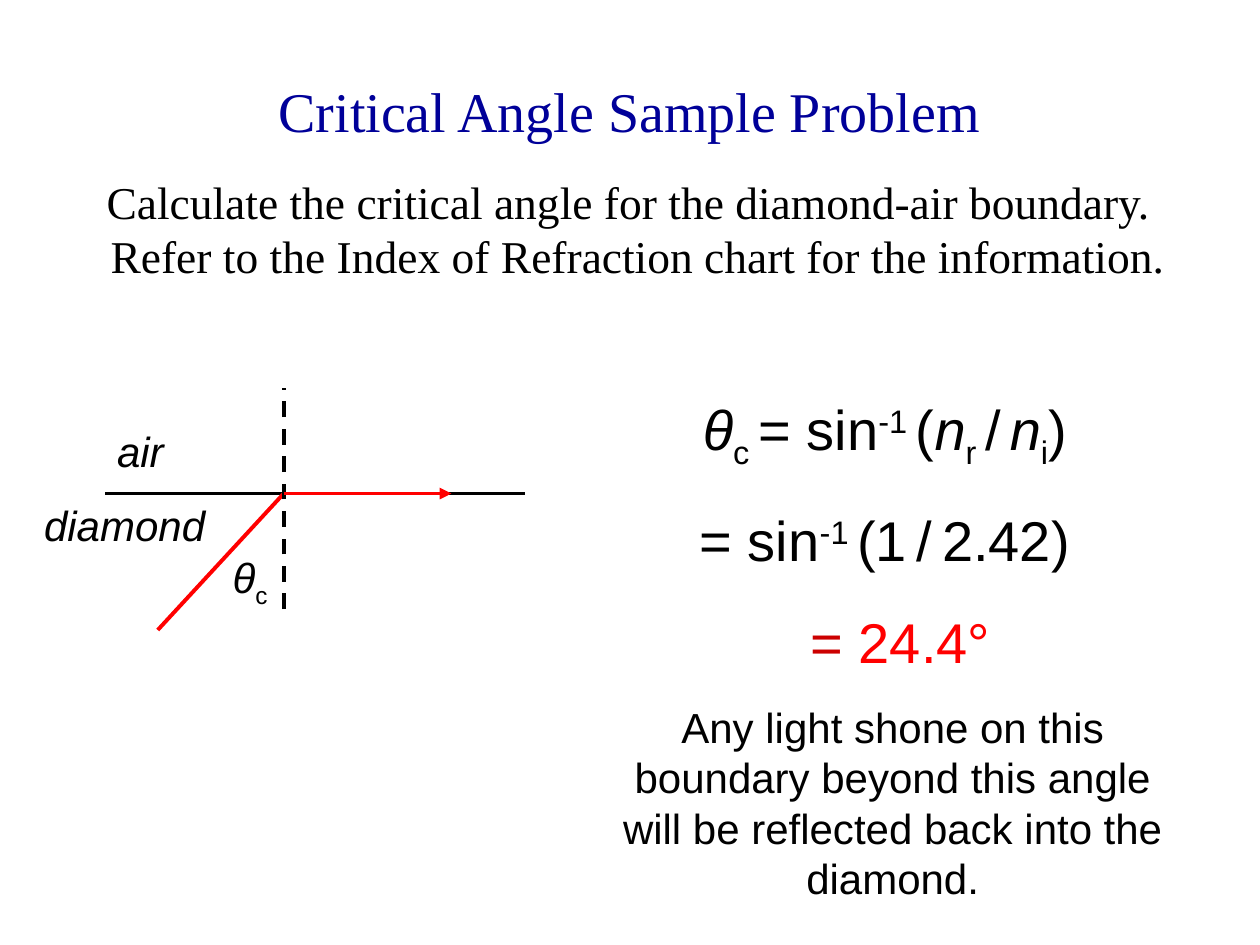
from dataclasses import dataclass

from lxml.etree import SubElement
from pptx import Presentation
from pptx.dml.color import RGBColor
from pptx.enum.dml import MSO_LINE
from pptx.enum.shapes import MSO_CONNECTOR
from pptx.enum.text import MSO_ANCHOR, PP_ALIGN
from pptx.oxml.ns import qn
from pptx.util import Cm, Pt

BLACK = RGBColor(0x00, 0x00, 0x00)
NAVY = RGBColor(0x00, 0x00, 0x99)
RED = RGBColor(0xFF, 0x00, 0x00)
BRICK = RGBColor(0xCC, 0x00, 0x00)
SERIF = "Times New Roman"
SANS = "Arial"
LOW, HIGH = -25, 30
MID_X, MID_Y = 5.72, 9.95


@dataclass(frozen=True)
class Bit:
    text: str
    size: int = 32
    color: RGBColor = BLACK
    font: str = SANS
    slant: bool = False
    base: int = 0


@dataclass(frozen=True)
class Row:
    bits: tuple[Bit, ...]
    gap: int = 0


@dataclass(frozen=True)
class Box:
    left: float
    top: float
    width: float
    height: float
    rows: tuple[Row, ...]
    align: PP_ALIGN = PP_ALIGN.LEFT
    anchor: MSO_ANCHOR = MSO_ANCHOR.TOP


@dataclass(frozen=True)
class Ray:
    start: tuple[float, float]
    end: tuple[float, float]
    color: RGBColor = BLACK
    dashed: bool = False
    arrow: bool = False


def write(para, text: str, *, size: int, color: RGBColor, font: str,
          slant: bool, base: int) -> None:
    run = para.add_run()
    run.text = text
    run.font.size = Pt(size)
    run.font.name = font
    run.font.italic = slant
    run.font.color.rgb = color
    if base:
        run._r.get_or_add_rPr().set("baseline", str(base * 1000))


def draw_box(slide, box: Box) -> None:
    shape = slide.shapes.add_textbox(
        Cm(box.left), Cm(box.top), Cm(box.width), Cm(box.height))
    frame = shape.text_frame
    frame.word_wrap = True
    frame.vertical_anchor = box.anchor
    for index, row in enumerate(box.rows):
        para = frame.add_paragraph() if index else frame.paragraphs[0]
        para.alignment = box.align
        para.space_before = Pt(row.gap)
        for bit in row.bits:
            write(para, bit.text, size=bit.size, color=bit.color,
                  font=bit.font, slant=bit.slant, base=bit.base)


def draw_ray(slide, ray: Ray) -> None:
    line = slide.shapes.add_connector(
        MSO_CONNECTOR.STRAIGHT, *map(Cm, ray.start + ray.end))
    line.line.color.rgb = ray.color
    line.line.width = Pt(2.25)
    if ray.dashed:
        line.line.dash_style = MSO_LINE.DASH
    if ray.arrow:
        SubElement(line.line._get_or_add_ln(), qn("a:tailEnd"), type="triangle")
    SubElement(line._element.spPr, qn("a:effectLst"))


def one(*bits: Bit) -> tuple[Row, ...]:
    return (Row(bits),)


def label(text: str) -> Bit:
    return Bit(text, 24, slant=True)


def task(text: str) -> tuple[Row, ...]:
    return one(Bit(text, 26, font=SERIF))


PROOF = (
    Row((Bit("θ", slant=True), Bit("c ", base=LOW), Bit("= sin"),
         Bit("-1", base=HIGH), Bit(" ", 18), Bit("("),
         Bit("n", slant=True), Bit("r ", base=LOW), Bit("/"), Bit(" ", 18),
         Bit("n", slant=True), Bit("i", base=LOW), Bit(") "))),
    Row((Bit("= sin"), Bit("-1", base=HIGH), Bit(" ", 18), Bit("(1"),
         Bit(" ", 20), Bit("/"), Bit(" ", 20), Bit("2.42) ")), 20),
    Row((Bit(" "), Bit("= ", color=BRICK), Bit("24.4°", color=RED)), 20),
    Row((Bit("Any light shone on this boundary beyond this angle "
             "will be reflected back into the diamond.", 24),), 15),
)

BOXES = (
    Box(1.9, 0.64, 21.59, 3.18,
        one(Bit("Critical Angle Sample Problem", 32, NAVY, SERIF)),
        PP_ALIGN.CENTER, MSO_ANCHOR.MIDDLE),
    Box(1.9, 3.38, 22.22, 3.02,
        task("Calculate the critical angle for the diamond-air boundary.")),
    Box(11.86, 7.82, 12.27, 12.06, PROOF, PP_ALIGN.CENTER),
    Box(4.44, 11, 2.54, 1.42, one(label("θ"), Bit("c", 24, base=LOW))),
    Box(2.11, 8.46, 2.34, 1.27, one(label("air"))),
    Box(0.64, 9.95, 3.81, 1.27, one(label("diamond"))),
    Box(1.98, 4.47, 22.35, 1.37,
        task("Refer to the Index of Refraction chart for the information.")),
)

RAYS = (
    Ray((2.12, MID_Y), (10.58, MID_Y)),
    Ray((MID_X, MID_Y), (3.18, 12.7), RED),
    Ray((MID_X, 12.28), (MID_X, 7.83), dashed=True),
    Ray((MID_X, MID_Y), (9.1, MID_Y), RED, arrow=True),
)


def main() -> None:
    deck = Presentation()
    deck.slide_width, deck.slide_height = Cm(25.4), Cm(19.05)
    slide = deck.slides.add_slide(deck.slide_layouts[6])
    for ray in RAYS:
        draw_ray(slide, ray)
    for box in BOXES:
        draw_box(slide, box)
    deck.save("out.pptx")


if __name__ == "__main__":
    main()
